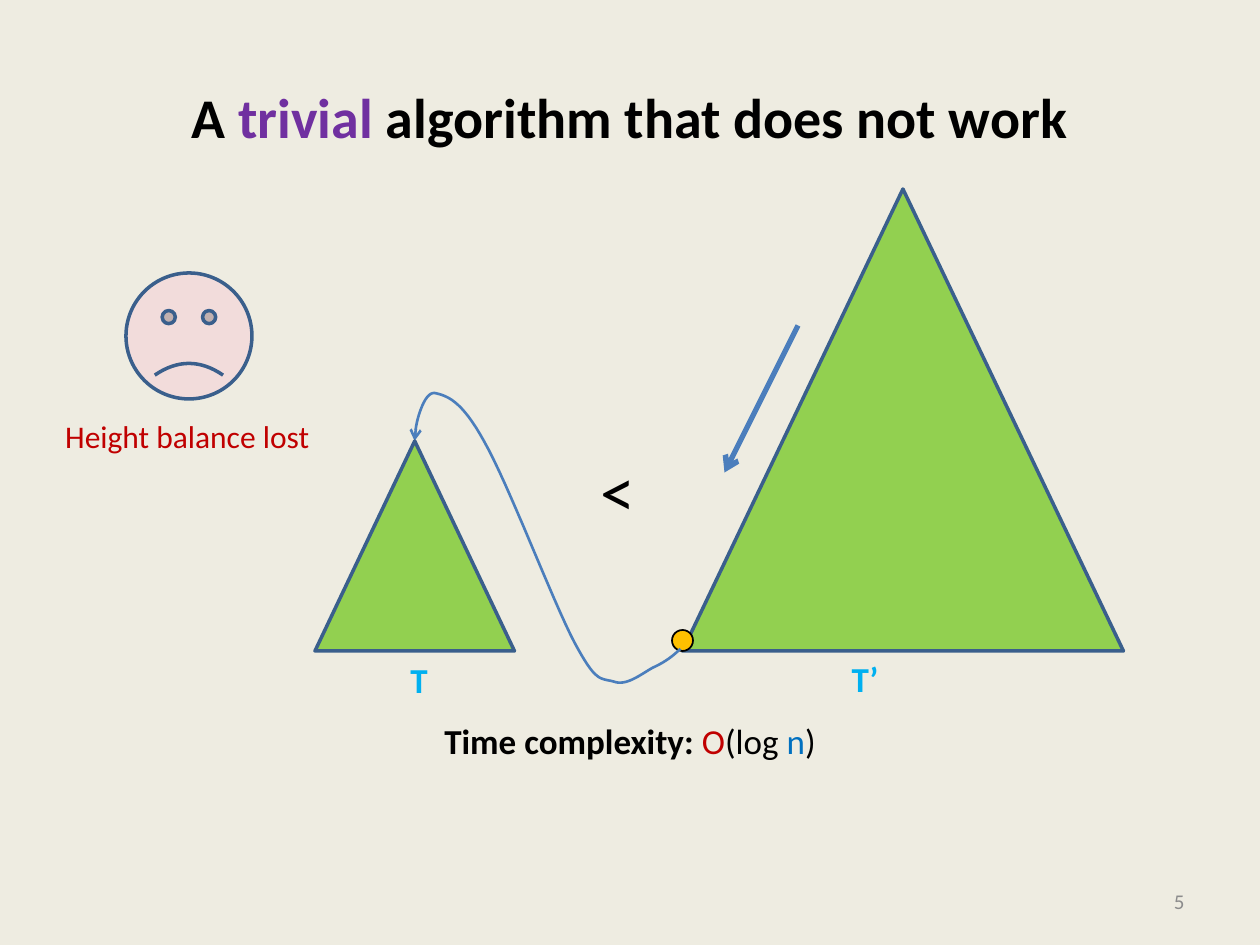
from lxml import etree
from pptx import Presentation
from pptx.dml.color import RGBColor
from pptx.enum.shapes import MSO_CONNECTOR, MSO_SHAPE
from pptx.enum.text import MSO_ANCHOR, PP_ALIGN
from pptx.oxml.ns import qn
from pptx.util import Pt

TRIANGLE, OVAL, FACE = (MSO_SHAPE.ISOSCELES_TRIANGLE, MSO_SHAPE.OVAL,
                        MSO_SHAPE.SMILEY_FACE)
STRAIGHT = MSO_CONNECTOR.STRAIGHT
LEFT, CENTER, RIGHT = PP_ALIGN.LEFT, PP_ALIGN.CENTER, PP_ALIGN.RIGHT
MIDDLE, TOP = MSO_ANCHOR.MIDDLE, MSO_ANCHOR.TOP
FONT = "Calibri"

COLORS = {
    "background": "EEECE1", "black": "000000", "purple": "7030A0",
    "red": "C00000", "blue": "0070C0", "sky": "00B0F0", "gray": "8C8C8C",
    "green": "92D050", "outline": "3A5F8C", "arrow": "4B7EBC",
    "amber": "FFC000", "pink": "F2DCDB",
}

# Runs: text, color, bold
TITLE = [("A ", "black", True), ("trivial", "purple", True),
         (" algorithm that does not work", "black", True)]
COMPLEXITY = [("Time complexity: ", "black", True), ("O", "red", False),
              ("(log ", "black", False), ("n", "blue", False),
              (")", "black", False)]

# Boxes: left, top, width, height
TITLE_BOX = (36, 21.6, 648, 90)
COMPLEXITY_BOX = (36, 403, 648, 40)
NUMBER_BOX = (516, 500.4, 168, 28.8)

# Shapes: preset, box, fill, outline, outline width
LARGE_TREE = (TRIANGLE, (390, 108, 252, 264), "green", "outline", 2)
SMALL_TREE = (TRIANGLE, (180, 252, 114, 120), "green", "outline", 2)
LEFTMOST_NODE = (OVAL, (384, 360, 12, 12), "amber", "black", 1)
SAD_FACE = (FACE, (72, 156, 72, 72), "pink", "outline", 2)
FROWN = -0.047

# Labels: runs, box, size
LABELS = [
    ([("T’", "sky", True)], (479.5, 372.2, 30.2, 31.7), 20),
    ([("T", "sky", True)], (227.5, 373, 24.5, 31.7), 20),
    ([("<", "black", False)], (336.2, 252, 34.6, 55.4), 40),
    ([("Height balance lost", "red", False)], (30.2, 234.7, 155.5, 28.8), 18),
]

DESCENT = ((456, 186), (414, 270))
LINK_START = (388.8, 370.8)
LINK_CURVES = [  # two control points and an end point each
    ((384.5, 375.1), (379.4, 378.7), (373, 381.6)),
    ((366.5, 385.2), (357.8, 392.4), (350.6, 389.5)),
    ((342.7, 387.4), (340.6, 390.2), (328.3, 367.2)),
    ((316.1, 344.2), (290.2, 275.8), (276.5, 252)),
    ((263.5, 228.2), (254.9, 226.1), (248.4, 224.6)),
    ((241.9, 223.9), (237.6, 242.6), (237.6, 245.5)),
]
LINK_END = (236.9, 252)
CURVE_STEPS = 16


def rgb(color):
    return RGBColor.from_string(COLORS[color])


def pts(values):
    return [Pt(value) for value in values]


def write(frame, runs, size, align=LEFT, anchor=TOP, wrap=True):
    frame.word_wrap = wrap
    frame.vertical_anchor = anchor
    paragraph = frame.paragraphs[0]
    paragraph.alignment = align
    paragraph.space_before = Pt(0)
    for text, color, bold in runs:
        run = paragraph.add_run()
        run.text = text
        run.font.name = FONT
        run.font.size = Pt(size)
        run.font.bold = bold
        run.font.color.rgb = rgb(color)


def place(placeholder, box):
    (placeholder.left, placeholder.top,
     placeholder.width, placeholder.height) = pts(box)


def add_preset(shapes, preset, box, fill, outline, width):
    shape = shapes.add_shape(preset, *pts(box))
    shape.shadow.inherit = False
    shape.fill.solid()
    shape.fill.fore_color.rgb = rgb(fill)
    shape.line.color.rgb = rgb(outline)
    shape.line.width = Pt(width)
    return shape


def make_arrow(line, width):
    line.color.rgb = rgb("arrow")
    line.width = Pt(width)
    etree.SubElement(line._get_or_add_ln(), qn("a:tailEnd"), type="arrow")


def bezier_points(start, curves):
    """Sample a chain of cubic Bezier curves, leaving out the start."""
    for c1, c2, end in curves:
        for step in range(1, CURVE_STEPS + 1):
            t = step / CURVE_STEPS
            u = 1 - t
            yield tuple(u**3 * a + 3 * u * u * t * b + 3 * u * t * t * c + t**3 * d
                        for a, b, c, d in zip(start, c1, c2, end))
        start = end


def add_link(shapes):
    builder = shapes.build_freeform(*pts(LINK_START))
    points = [*bezier_points(LINK_START, LINK_CURVES), LINK_END]
    builder.add_line_segments([pts(point) for point in points], close=False)
    link = builder.convert_to_shape()
    link.shadow.inherit = False
    link.fill.background()
    make_arrow(link.line, 1.5)


def add_descent(shapes):
    start, end = DESCENT
    descent = shapes.add_connector(STRAIGHT, *pts(start + end))
    make_arrow(descent.line, 3)
    etree.SubElement(descent._element.spPr, qn("a:effectLst"))


def main():
    prs = Presentation()
    prs.slide_width, prs.slide_height = Pt(720), Pt(540)
    slide = prs.slides.add_slide(prs.slide_layouts[1])
    slide.background.fill.solid()
    slide.background.fill.fore_color.rgb = rgb("background")
    shapes = slide.shapes

    title, complexity = shapes.title, slide.placeholders[1]
    place(title, TITLE_BOX)
    write(title.text_frame, TITLE, 32, CENTER, MIDDLE)
    place(complexity, COMPLEXITY_BOX)
    properties = complexity.text_frame.paragraphs[0]._p.get_or_add_pPr()
    properties.set("marL", "0")
    properties.set("indent", "0")
    etree.SubElement(properties, qn("a:buNone"))
    write(complexity.text_frame, COMPLEXITY, 20, CENTER, MIDDLE)

    add_preset(shapes, *LARGE_TREE)
    add_preset(shapes, *LEFTMOST_NODE)
    add_link(shapes)
    add_preset(shapes, *SMALL_TREE)
    add_descent(shapes)
    add_preset(shapes, *SAD_FACE).adjustments[0] = FROWN

    for runs, box, size in LABELS:
        label = shapes.add_textbox(*pts(box))
        write(label.text_frame, runs, size, wrap=False)
    number = shapes.add_textbox(*pts(NUMBER_BOX))
    write(number.text_frame, [("5", "gray", False)], 12, RIGHT, MIDDLE)

    prs.save("out.pptx")


if __name__ == "__main__":
    main()
